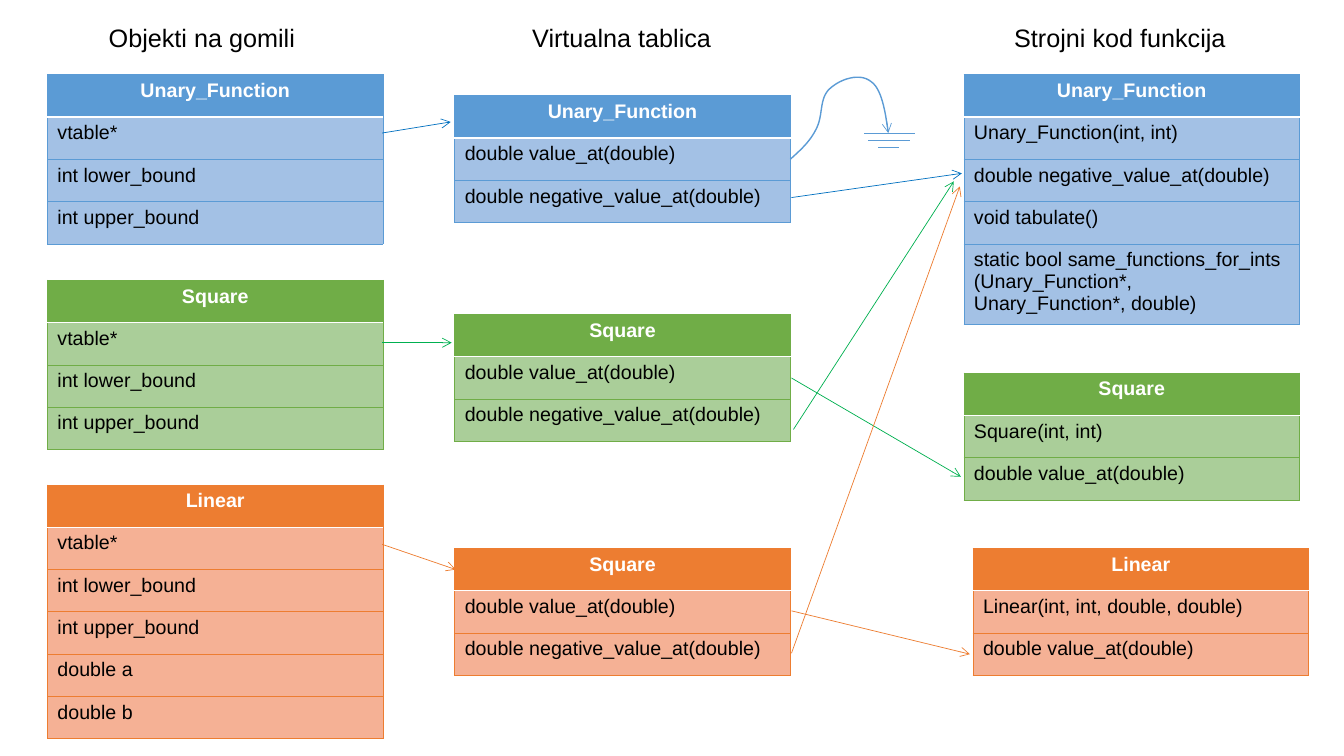
import lxml.etree
import pptx
import pptx.dml.color
import pptx.enum.shapes
import pptx.enum.text
import pptx.oxml.ns
import pptx.util

Inches, Pt, qn = pptx.util.Inches, pptx.util.Pt, pptx.oxml.ns.qn

# Content: headings (text, left, width)
HEADINGS = [
    ("Objekti na gomili", 0.98, 2.31),
    ("Virtualna tablica", 5.18, 2.0),
    ("Strojni kod funkcija", 9.96, 2.48),
]

FIELDS = ["vtable*", "int lower_bound", "int upper_bound"]
VIRTUALS = ["double value_at(double)", "double negative_value_at(double)"]

# Class tables (palette, left, top, title, members)
CLASSES = [
    ("blue", 0.47, 0.74, "Unary_Function", FIELDS),
    ("green", 0.47, 2.78, "Square", FIELDS),
    ("orange", 0.47, 4.81, "Linear", FIELDS + ["double a", "double b"]),
    ("blue", 4.51, 0.95, "Unary_Function", VIRTUALS),
    ("green", 4.51, 3.12, "Square", VIRTUALS),
    ("orange", 4.51, 5.44, "Square", VIRTUALS),
    ("blue", 9.56, 0.74, "Unary_Function", [
        "Unary_Function(int, int)",
        "double negative_value_at(double)",
        "void tabulate()",
        "static bool same_functions_for_ints (Unary_Function*, Unary_Function*, double)",
    ]),
    ("green", 9.56, 3.7, "Square", ["Square(int, int)", "double value_at(double)"]),
    ("orange", 9.65, 5.44, "Linear",
     ["Linear(int, int, double, double)", "double value_at(double)"]),
]

# Pointers (palette, start, end)
POINTERS = [
    ("blue", (3.79, 1.32), (4.47, 1.21)),
    ("green", (3.79, 3.4), (4.48, 3.4)),
    ("orange", (3.79, 5.4), (4.52, 5.65)),
    ("blue", (7.85, 1.96), (9.54, 1.72)),
    ("green", (7.85, 3.75), (9.53, 4.73)),
    ("green", (7.87, 4.26), (9.46, 1.8)),
    ("orange", (7.85, 6.06), (9.62, 6.49)),
    ("orange", (7.85, 6.48), (9.52, 1.85)),
]

# Null pointer: ground bars (left, right, height), curve start and Bezier arcs
GROUND = [(8.57, 9.08, 1.32), (8.61, 9.03, 1.39), (8.71, 8.92, 1.46)]
NULL_START = (7.84, 1.58)
NULL_ARCS = [
    ((7.89, 1.53), (8.02, 1.43), (8.09, 1.29)),
    ((8.17, 1.15), (8.12, 0.98), (8.23, 0.88)),
    ((8.34, 0.78), (8.53, 0.72), (8.64, 0.81)),
    ((8.76, 0.89), (8.79, 1.19), (8.81, 1.31)),
]
NULL_TIP = ((8.79, 1.18), (8.81, 1.32))

TABLE_WIDTH, ROW_HEIGHT = 3.33, 0.42
HEADING_TOP, HEADING_HEIGHT = 0.17, 0.4
ARC_STEPS = 16

THEME = {
    "blue": {"header": "5B9BD5", "body": "A3C1E5", "pointer": "0070C0"},
    "green": {"header": "70AD47", "body": "AACE99", "pointer": "00B050"},
    "orange": {"header": "ED7D31", "body": "F5B195", "pointer": "ED7D31"},
    "white": "FFFFFF",
    "thin": 0.5,
    "thick": 1,
    "heading": {"name": "Arial", "size": Pt(18), "bold": False},
    "title": {"name": "Arial", "size": Pt(14), "bold": True},
    "member": {"name": "Arial", "size": Pt(14), "bold": False},
    "ink": "000000",
}


def rgb(value):
    return pptx.dml.color.RGBColor.from_string(value)


def write(paragraph, text, style, color):
    run = paragraph.add_run()
    run.text = text
    for attribute, value in THEME[style].items():
        setattr(run.font, attribute, value)
    run.font.color.rgb = rgb(color)


def set_borders(cell, borders):
    properties = cell._tc.get_or_add_tcPr()
    for index, (side, (color, width)) in enumerate(borders.items()):
        border = lxml.etree.Element(qn(f"a:ln{side}"), w=str(Pt(width)))
        fill = lxml.etree.SubElement(border, qn("a:solidFill"))
        lxml.etree.SubElement(fill, qn("a:srgbClr"), val=color)
        properties.insert(index, border)


def add_class(slide, palette, left, top, title, members):
    colors = THEME[palette]
    rows = [title] + members
    table = slide.shapes.add_table(
        len(rows), 1, Inches(left), Inches(top),
        Inches(TABLE_WIDTH), Inches(ROW_HEIGHT * len(rows))).table
    table.horz_banding = False
    edge = (colors["header"], THEME["thin"])
    divider = (THEME["white"], THEME["thick"])
    for index, text in enumerate(rows):
        table.rows[index].height = Inches(ROW_HEIGHT)
        cell = table.cell(index, 0)
        is_title = index == 0
        cell.fill.solid()
        cell.fill.fore_color.rgb = rgb(colors["header" if is_title else "body"])
        set_borders(cell, {
            "L": edge, "R": edge,
            "T": divider if index == 1 else edge,
            "B": divider if is_title else edge,
        })
        paragraph = cell.text_frame.paragraphs[0]
        if is_title:
            paragraph.alignment = pptx.enum.text.PP_ALIGN.CENTER
        write(paragraph, text, "title" if is_title else "member",
              THEME["white" if is_title else "ink"])


def add_line(slide, start, end, color, arrow=False):
    line = slide.shapes.add_connector(
        pptx.enum.shapes.MSO_CONNECTOR.STRAIGHT,
        *(Inches(value) for value in start + end))
    line.line.color.rgb = rgb(color)
    line.line.width = Pt(THEME["thin"])
    properties = line.element.spPr
    if arrow:
        lxml.etree.SubElement(properties.find(qn("a:ln")), qn("a:tailEnd"), type="arrow")
    lxml.etree.SubElement(properties, qn("a:effectLst"))


def curve_points(start, arcs):
    for first, second, end in arcs:
        for step in range(1, ARC_STEPS + 1):
            t = step / ARC_STEPS
            u = 1 - t
            yield tuple(
                Inches(u**3 * a + 3 * u * u * t * b + 3 * u * t * t * c + t**3 * d)
                for a, b, c, d in zip(start, first, second, end))
        start = end


def add_null_pointer(slide):
    color = THEME["blue"]["header"]
    for left, right, height in GROUND:
        add_line(slide, (left, height), (right, height), color)
    builder = slide.shapes.build_freeform(*(Inches(value) for value in NULL_START))
    builder.add_line_segments(list(curve_points(NULL_START, NULL_ARCS)), close=False)
    curve = builder.convert_to_shape()
    curve.shadow.inherit = False
    curve.fill.background()
    curve.line.color.rgb = rgb(color)
    curve.line.width = Pt(THEME["thick"])
    add_line(slide, *NULL_TIP, color, arrow=True)


def main():
    deck = pptx.Presentation()
    deck.slide_width, deck.slide_height = Inches(13.33), Inches(7.5)
    slide = deck.slides.add_slide(deck.slide_layouts.get_by_name("Blank"))

    # Column headings
    for text, left, width in HEADINGS:
        heading = slide.shapes.add_textbox(
            Inches(left), Inches(HEADING_TOP), Inches(width), Inches(HEADING_HEIGHT))
        heading.text_frame.word_wrap = True
        heading.text_frame.auto_size = pptx.enum.text.MSO_AUTO_SIZE.SHAPE_TO_FIT_TEXT
        write(heading.text_frame.paragraphs[0], text, "heading", THEME["ink"])

    # Class tables
    for entry in CLASSES:
        add_class(slide, *entry)

    # Pointers between the tables
    for palette, start, end in POINTERS:
        add_line(slide, start, end, THEME[palette]["pointer"], arrow=True)

    # Pure virtual function pointing to null
    add_null_pointer(slide)
    deck.save("out.pptx")


if __name__ == "__main__":
    main()
